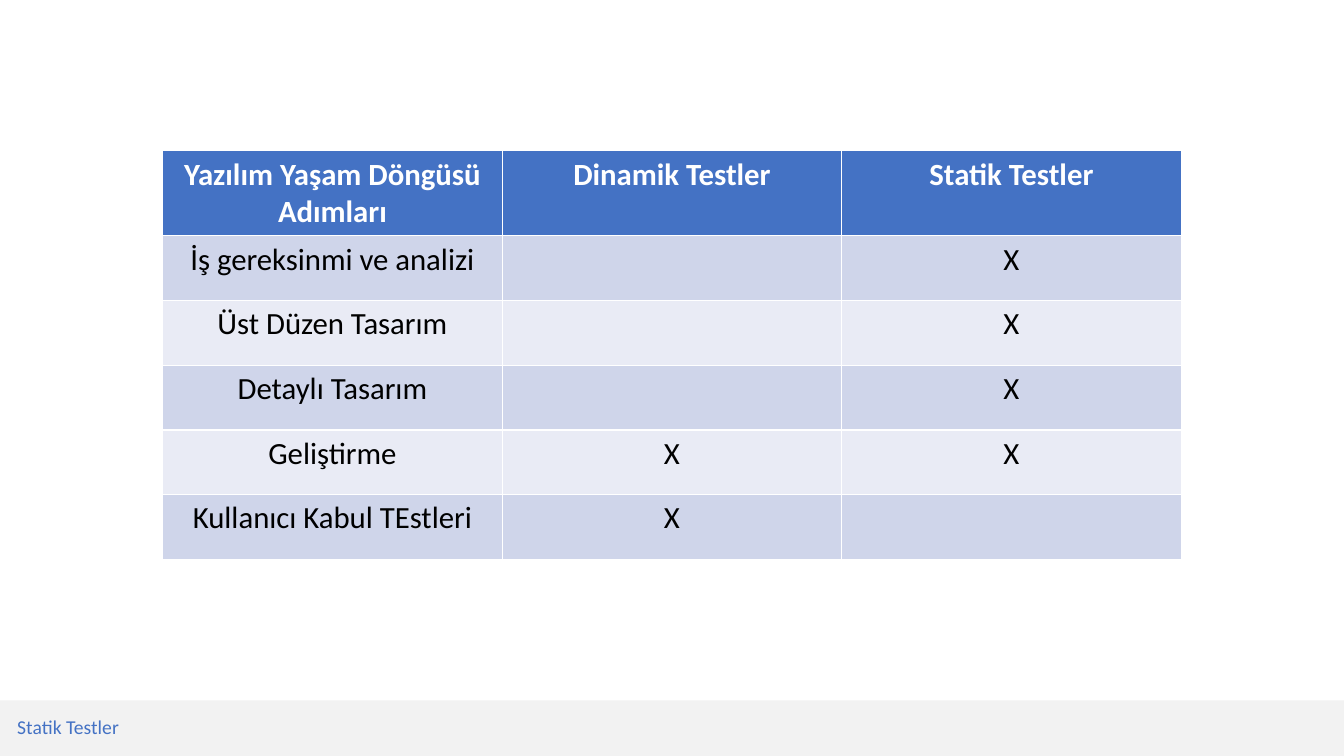
import pptx
import pptx.dml.color
import pptx.enum.shapes
import pptx.enum.text
import pptx.util
from pptx.util import Cm

RGBColor = pptx.dml.color.RGBColor
BLUE = RGBColor(0x44, 0x72, 0xC4)
WHITE = RGBColor(0xFF, 0xFF, 0xFF)
BLACK = RGBColor(0, 0, 0)
BAND_GREY = RGBColor(0xF2, 0xF2, 0xF2)
ROW_TINTS = (RGBColor(0xCF, 0xD5, 0xEA), RGBColor(0xE9, 0xEB, 0xF5))
FONT = "Calibri"

TEST_MATRIX = [
    ("Yazılım Yaşam Döngüsü Adımları", "Dinamik Testler", "Statik Testler"),
    ("İş gereksinmi ve analizi", "", "X"),
    ("Üst Düzen Tasarım", "", "X"),
    ("Detaylı Tasarım", "", "X"),
    ("Geliştirme", "X", "X"),
    ("Kullanıcı Kabul TEstleri", "X", ""),
]


def style_font(font, size, color, bold=False):
    font.name = FONT
    font.size = pptx.util.Pt(size)
    font.bold = bold
    font.color.rgb = color


def add_test_matrix(slide, left, top, width, height):
    """Life cycle steps against test types; white rules come from the table style."""
    matrix = slide.shapes.add_table(
        len(TEST_MATRIX), len(TEST_MATRIX[0]), left, top, width, height).table
    for row, labels in enumerate(TEST_MATRIX):
        is_header = row == 0
        for column, label in enumerate(labels):
            cell = matrix.cell(row, column)
            cell.fill.solid()
            cell.fill.fore_color.rgb = BLUE if is_header else ROW_TINTS[(row - 1) % 2]
            cell.text = label
            paragraph = cell.text_frame.paragraphs[0]
            paragraph.alignment = pptx.enum.text.PP_ALIGN.CENTER
            style_font(paragraph.font, 22, WHITE if is_header else BLACK, is_header)


def add_section_footer(slide, left, top, width, height):
    """Grey band with the section name at its left end."""
    section = slide.placeholders[1]
    section.left, section.top = left + Cm(0.18), top + Cm(0.15)
    section.width, section.height = Cm(14.33), Cm(0.94)

    # Band, kept behind the section name
    band = slide.shapes.add_shape(
        pptx.enum.shapes.MSO_SHAPE.RECTANGLE, left, top, width, height)
    band.shadow.inherit = False
    band.fill.solid()
    band.fill.fore_color.rgb = BAND_GREY
    band.line.fill.background()
    section.element.addprevious(band.element)

    # Section name
    frame = section.text_frame
    frame.text = "Statik Testler"
    frame.auto_size = pptx.enum.text.MSO_AUTO_SIZE.NONE
    frame.vertical_anchor = pptx.enum.text.MSO_ANCHOR.BOTTOM
    paragraph = frame.paragraphs[0]
    paragraph.alignment = pptx.enum.text.PP_ALIGN.LEFT
    paragraph.line_spacing = 0.9
    paragraph.space_before = pptx.util.Pt(0)
    style_font(paragraph.font, 14, BLUE)


def main():
    deck = pptx.Presentation()
    deck.slide_width, deck.slide_height = Cm(33.87), Cm(19.05)

    # Section header layout: its body placeholder has no bullets
    slide = deck.slides.add_slide(deck.slide_layouts[2])
    title = slide.shapes.title.element
    title.getparent().remove(title)

    footer_height = Cm(1.4)
    add_section_footer(slide, 0, deck.slide_height - footer_height,
                       deck.slide_width, footer_height)
    add_test_matrix(slide, Cm(4.1), Cm(3.8), Cm(25.67), Cm(9.78))
    deck.save("out.pptx")


if __name__ == "__main__":
    main()
